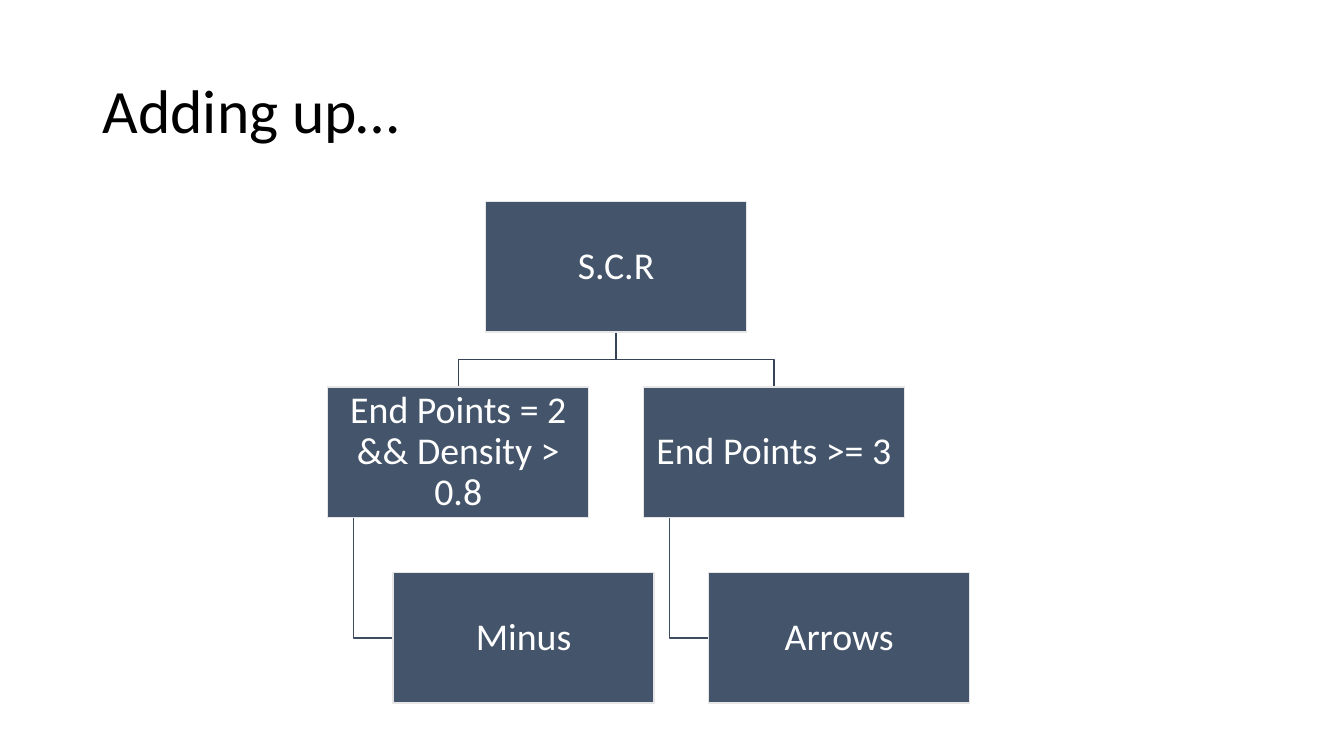
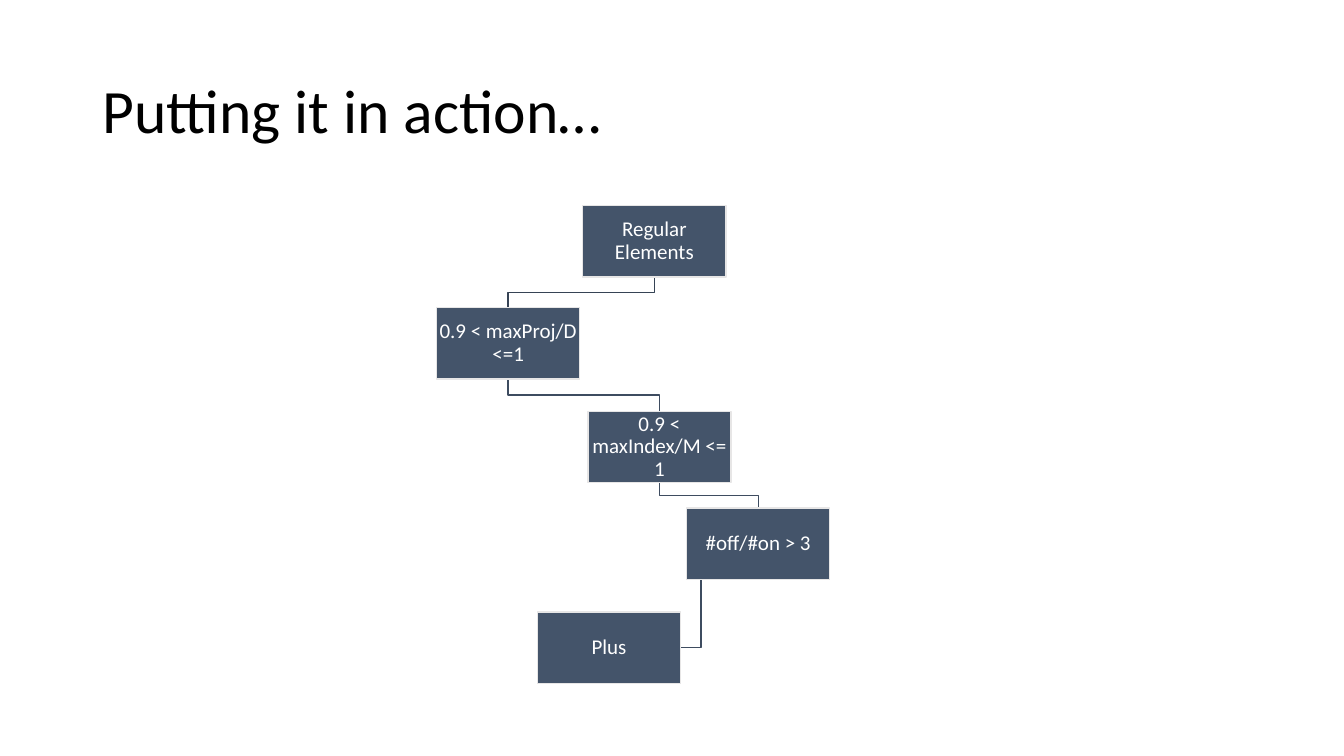
from collections import namedtuple

from pptx import Presentation
from pptx.dml.color import RGBColor
from pptx.enum.shapes import MSO_SHAPE as Preset
from pptx.enum.text import MSO_ANCHOR as Anchor, PP_ALIGN as Align
from pptx.util import Inches, Pt

Box = namedtuple("Box", "left top width height")

COLORS = {
    "title": "000000",
    "node": "44546A",
    "node_edge": "E7E6E6",
    "node_text": "FFFFFF",
    "root_link": "364355",
    "child_link": "3E4C60",
}
FONT = "Calibri"
TITLE_BOX = Box(0.92, 0.4, 11.5, 1.45)
TITLE_SIZE = 44
MARGINS = ("margin_left", "margin_top", "margin_right", "margin_bottom")
TRUNK_INSET = 0.1


def rgb(role):
    return RGBColor.from_string(COLORS[role])


def apply_format(target, values):
    for name, value in values.items():
        setattr(target, name, value)


def write_text(frame, text, size, role, align):
    apply_format(frame, {"word_wrap": True, "vertical_anchor": Anchor.MIDDLE})
    paragraph = frame.paragraphs[0]
    apply_format(paragraph, {"text": text, "alignment": align, "line_spacing": 0.9})
    apply_format(paragraph.runs[0].font, {"name": FONT, "size": Pt(size)})
    paragraph.runs[0].font.color.rgb = rgb(role)


def draw_outline(shape, role):
    shape.shadow.inherit = False
    shape.line.color.rgb = rgb(role)
    shape.line.width = Pt(1)


def add_titled_slide(deck, title):
    slide = deck.slides.add_slide(deck.slide_layouts[6])
    heading = slide.shapes.add_textbox(*map(Inches, TITLE_BOX))
    write_text(heading.text_frame, title, TITLE_SIZE, "title", Align.LEFT)
    return slide


def add_node(slide, box, text, size, inset):
    node = slide.shapes.add_shape(Preset.RECTANGLE, *map(Inches, box))
    node.fill.solid()
    node.fill.fore_color.rgb = rgb("node")
    draw_outline(node, "node_edge")
    apply_format(node.text_frame, dict.fromkeys(MARGINS, Inches(inset)))
    write_text(node.text_frame, text, size, "node_text", Align.CENTER)


def add_link(slide, points, role):
    start, *corners = [(Inches(x), Inches(y)) for x, y in points]
    builder = slide.shapes.build_freeform(*start)
    builder.add_line_segments(corners, close=False)
    link = builder.convert_to_shape()
    link.fill.background()
    draw_outline(link, role)


def add_elbow(slide, parent, child, role):
    start_x = parent.left + parent.width / 2
    end_x = child.left + child.width / 2
    bottom = parent.top + parent.height
    middle = (bottom + child.top) / 2
    add_link(slide, [(start_x, bottom), (start_x, middle),
                     (end_x, middle), (end_x, child.top)], role)


def add_hanger(slide, parent, child, role):
    trunk = parent.left + parent.width * TRUNK_INSET
    middle = child.top + child.height / 2
    edge = child.left if child.left > trunk else child.left + child.width
    add_link(slide, [(trunk, parent.top + parent.height),
                     (trunk, middle), (edge, middle)], role)


def add_nodes(slide, boxes, texts, size, inset):
    for box, text in zip(boxes, texts):
        add_node(slide, box, text, size, inset)


def add_branch_tree(slide, area, root_text, branches):
    width, column_step, level_step = 2.59, 3.13, 1.84
    height = width / 2
    root = Box(area.left + column_step / 2, area.top, width, height)
    boxes, texts = [root], [root_text]
    for column, (condition, result) in enumerate(branches):
        left = area.left + column * column_step
        test = Box(left, area.top + level_step, width, height)
        leaf = Box(left + width / 4, area.top + 2 * level_step, width, height)
        add_elbow(slide, root, test, "root_link")
        add_hanger(slide, test, leaf, "child_link")
        boxes += [test, leaf]
        texts += [condition, result]
    add_nodes(slide, boxes, texts, 27, 0.02)


def add_decision_chain(slide, area, steps):
    width = 1.42
    boxes = [Box(area.left + x, area.top + y, width, width / 2) for _, x, y in steps]
    for level, (parent, child) in enumerate(zip(boxes, boxes[1:])):
        role = "child_link" if level else "root_link"
        connect = add_hanger if child is boxes[-1] else add_elbow
        connect(slide, parent, child, role)
    add_nodes(slide, boxes, [text for text, _, _ in steps], 15, 0.01)


def main():
    deck = Presentation()
    apply_format(deck, {"slide_width": Inches(13.33), "slide_height": Inches(7.5)})

    adding_up = add_titled_slide(deck, "Adding up…")
    add_branch_tree(adding_up, Box(3.25, 2, 6.37, 4.97), "S.C.R", [
        ("End Points = 2 && Density > 0.8", "Minus"),
        ("End Points >= 3", "Arrows"),
    ])

    in_action = add_titled_slide(deck, "Putting it in action…")
    add_decision_chain(in_action, Box(4.33, 2.04, 3.9, 4.74), [
        ("Regular Elements", 1.45, 0),
        ("0.9 < maxProj/D <=1", 0, 1.01),
        ("0.9 < maxIndex/M <= 1", 1.5, 2.04),
        ("#off/#on > 3", 2.48, 3),
        ("Plus", 1, 4.03),
    ])

    deck.save("out.pptx")


if __name__ == "__main__":
    main()
